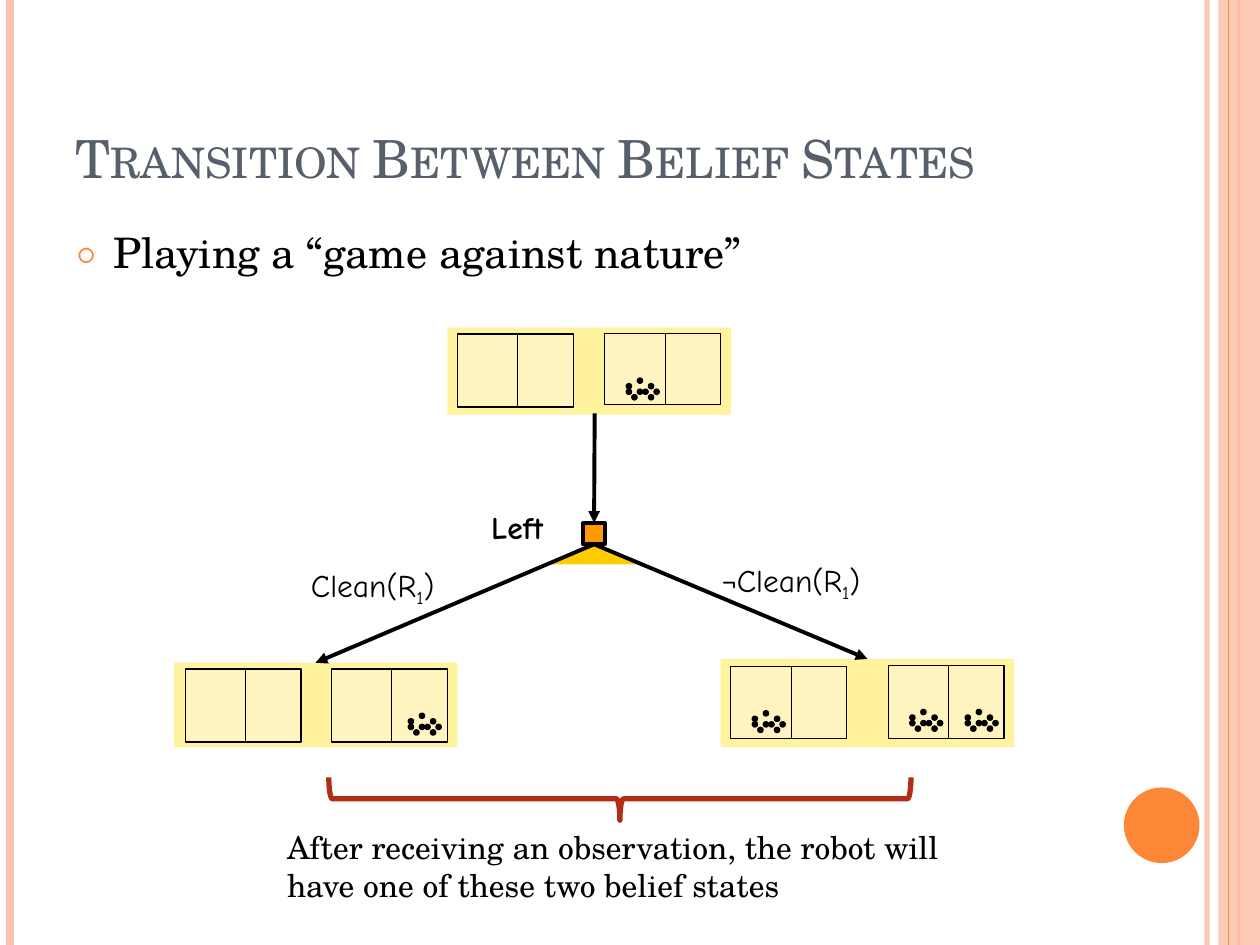
from dataclasses import dataclass

from lxml import etree
from pptx import Presentation
from pptx.dml.color import RGBColor
from pptx.enum.shapes import MSO_CONNECTOR, MSO_SHAPE
from pptx.enum.text import MSO_ANCHOR, MSO_AUTO_SIZE, PP_ALIGN
from pptx.oxml.ns import qn
from pptx.util import Inches, Pt

RECTANGLE, OVAL, BRACE = MSO_SHAPE.RECTANGLE, MSO_SHAPE.OVAL, MSO_SHAPE.LEFT_BRACE
STRAIGHT = MSO_CONNECTOR.STRAIGHT
BOTTOM, TOP, LEFT = MSO_ANCHOR.BOTTOM, MSO_ANCHOR.TOP, PP_ALIGN.LEFT
FIXED, GROW = MSO_AUTO_SIZE.NONE, MSO_AUTO_SIZE.SHAPE_TO_FIT_TEXT
SIDE_TOP, SIDE_BOTTOM = 0, 2
COLUMNS, ROWS = 100, 75
DIRT_SPOTS = [(0, 1), (2, 2), (1, 3), (2, 0), (4, 1), (3, 2), (5, 2), (0, 2), (4, 3)]
DIRT_OFFSETS = {"left": 1.7, "right": 6.1}


@dataclass(frozen=True)
class Theme:
    serif: str = "TeX Gyre Schola"
    hand: str = "Comic Neue"
    ink: str = "000000"
    heading: str = "575F6D"
    accent: str = "FE8637"
    pale: str = "FEC3AE"
    belief: str = "FFF39D"
    room: str = "FFF3BF"
    action: str = "FF9900"
    fan: str = "FFCC00"
    brace: str = "B32C16"
    title_size: int = 30
    body_size: int = 24
    label_size: int = 18
    thin: float = 0.75
    arrow: float = 2.25


class SlideBuilder:
    def __init__(self, deck, theme):
        self.theme = theme
        self.page = deck.slides.add_slide(deck.slide_layouts[1])
        self.column = deck.slide_width / COLUMNS
        self.row = deck.slide_height / ROWS

    def across(self, columns):
        return round(columns * self.column)

    def down(self, rows):
        return round(rows * self.row)

    def frame(self, left, top, width, height):
        return self.across(left), self.down(top), self.across(width), self.down(height)

    def paint(self, shape, fill=None, line=None, weight=0.75):
        shape.shadow.inherit = False
        if fill:
            shape.fill.solid()
            shape.fill.fore_color.rgb = RGBColor.from_string(fill)
        else:
            shape.fill.background()
        if line:
            shape.line.color.rgb = RGBColor.from_string(line)
            shape.line.width = Pt(weight)
        else:
            shape.line.fill.background()

    def fade(self, shape, percent):
        color = shape._element.spPr.find(".//" + qn("a:srgbClr"))
        etree.SubElement(color, qn("a:alpha"), val=str(percent * 1000))

    def shape(self, kind, frame, fill=None, line=None, weight=0.75):
        shape = self.page.shapes.add_shape(kind, *self.frame(*frame))
        self.paint(shape, fill, line, weight)
        return shape

    def outline(self, points, fill):
        corners = [(self.across(x), self.down(y)) for x, y in points]
        builder = self.page.shapes.build_freeform(*corners[0])
        builder.add_line_segments(corners[1:], close=True)
        self.paint(builder.convert_to_shape(), fill)

    def line(self, start, end, color, weight):
        connector = self.page.shapes.add_connector(
            STRAIGHT, self.across(start[0]), self.down(start[1]),
            self.across(end[0]), self.down(end[1]))
        connector.line.color.rgb = RGBColor.from_string(color)
        connector.line.width = Pt(weight)
        etree.SubElement(connector._element.spPr, qn("a:effectLst"))
        return connector

    def arrow(self, start, end, source=None, target=None):
        connector = self.line(start, end, self.theme.ink, self.theme.arrow)
        outline = connector._element.spPr.find(qn("a:ln"))
        etree.SubElement(outline, qn("a:tailEnd"), type="triangle")
        if source:
            connector.begin_connect(source, SIDE_BOTTOM)
        if target:
            connector.end_connect(target, SIDE_TOP)

    def span(self, para, text, font, size, color, bold=False):
        span = para.add_run()
        span.text = text
        span.font.name = font
        span.font.size = Pt(size)
        span.font.bold = bold
        span.font.color.rgb = RGBColor.from_string(color)
        return span

    def placeholder(self, index, frame, anchor):
        box = self.page.placeholders[index]
        box.left, box.top, box.width, box.height = self.frame(*frame)
        box.text_frame.auto_size = FIXED
        box.text_frame.vertical_anchor = anchor
        para = box.text_frame.paragraphs[0]
        para.alignment = LEFT
        return para

    def title(self, text, frame):
        para = self.placeholder(0, frame, BOTTOM)
        span = self.span(para, text, self.theme.serif, self.theme.title_size, self.theme.heading)
        span._r.get_or_add_rPr().set("cap", "small")

    def bullet(self, text, frame):
        para = self.placeholder(1, frame, TOP)
        para.space_before = Pt(0)
        properties = para._p.get_or_add_pPr()
        properties.set("marL", str(Inches(0.3)))
        properties.set("indent", str(-Inches(0.3)))
        tint = etree.SubElement(properties, qn("a:buClr"))
        etree.SubElement(tint, qn("a:srgbClr"), val=self.theme.accent)
        etree.SubElement(properties, qn("a:buSzPct"), val="70000")
        etree.SubElement(properties, qn("a:buFont"), typeface=self.theme.serif)
        etree.SubElement(properties, qn("a:buChar"), char="○")
        self.span(para, text, self.theme.serif, self.theme.body_size, self.theme.ink)

    def label(self, parts, frame, font, wrap=False, bold=False):
        box = self.page.shapes.add_textbox(*self.frame(*frame))
        box.text_frame.word_wrap = wrap
        box.text_frame.auto_size = GROW
        para = box.text_frame.paragraphs[0]
        for text, baseline in parts:
            span = self.span(para, text, font, self.theme.label_size, self.theme.ink, bold)
            if baseline:
                span._r.get_or_add_rPr().set("baseline", str(baseline * 1000))

    def dirt(self, left, top):
        for column, row in DIRT_SPOTS:
            spot = (left + column * 0.44, top + row * 0.44, 0.42, 0.42)
            self.shape(OVAL, spot, self.theme.ink, self.theme.ink, self.theme.thin)

    def world(self, left, top, height, dirty):
        for offset, width in ((0, 5.2), (4.8, 4.4)):
            self.shape(RECTANGLE, (left + offset, top, width, height),
                       self.theme.room, self.theme.ink, self.theme.thin)
        for side in dirty:
            self.dirt(left + DIRT_OFFSETS[side], top + 3.5)

    def belief(self, frame, worlds):
        panel = self.shape(RECTANGLE, frame, self.theme.belief)
        for world in worlds:
            self.world(*world)
        return panel

    def border(self):
        theme = self.theme
        edge = self.line((95.8, 0), (95.8, ROWS), theme.pale, 3)
        self.fade(edge, 93)
        self.line((0.8, 0), (0.8, ROWS), theme.pale, 4.5)
        self.line((98.3, 0), (98.3, ROWS), theme.accent, 1.5)
        band = self.shape(RECTANGLE, (96.7, 0, 3.3, ROWS), theme.pale)
        self.fade(band, 87)
        self.line((97.5, 0), (97.5, ROWS), theme.accent, 0.75)
        self.shape(OVAL, (89.2, 62.5, 6, 6), theme.accent)


def main():
    deck = Presentation()
    deck.slide_width, deck.slide_height = Inches(10), Inches(7.5)
    theme = Theme()
    slide = SlideBuilder(deck, theme)
    slide.border()
    slide.title("Transition Between Belief States", (5, 3, 81.7, 12.5))
    slide.bullet("Playing a “game against nature”", (5, 17.5, 81.7, 53.3))

    slide.outline([(47.2, 43.1), (43.3, 44.8), (51.3, 44.8)], theme.fan)
    slide.belief((35.5, 26, 22.5, 6.9),
                 [(36.3, 26.5, 5.8, ()), (48, 26.5, 5.6, ("left",))])
    clean = slide.belief((13.8, 52.6, 22.5, 6.7),
                         [(14.7, 53.1, 5.8, ()), (26.3, 53.1, 5.8, ("right",))])
    dirty = slide.belief((57.2, 52.3, 23.3, 7),
                         [(70.5, 52.8, 5.8, ("right", "left")), (58, 52.9, 5.7, ("left",))])
    action = slide.shape(RECTANGLE, (46.3, 41.5, 1.7, 1.7), theme.action, theme.ink, theme.arrow)

    slide.arrow((47.2, 32.8), (47.2, 41.5), target=action)
    slide.arrow((47.2, 43.1), (24.9, 52.3), action, clean)
    slide.arrow((47.3, 43.1), (68.9, 52.2), action, dirty)
    slide.label([("Left", 0)], (38, 39.8, 7.2, 4), theme.hand, bold=True)
    for prefix, frame in (("Clean(R", (23.7, 44.4, 12.3, 4)), ("¬Clean(R", (56.3, 44, 14.1, 4))):
        slide.label([(prefix, 0), ("1", -25), (")", 0)], frame, theme.hand)

    brace = slide.shape(BRACE, (47.5, 40.3, 3.4, 46.2), line=theme.brace, weight=3)
    brace.rotation = 270
    slide.label([("After receiving an observation, the robot will have one of these two belief states", 0)],
                (21.8, 65.2, 56.3, 7.1), theme.serif, wrap=True)
    deck.save("out.pptx")


if __name__ == "__main__":
    main()
